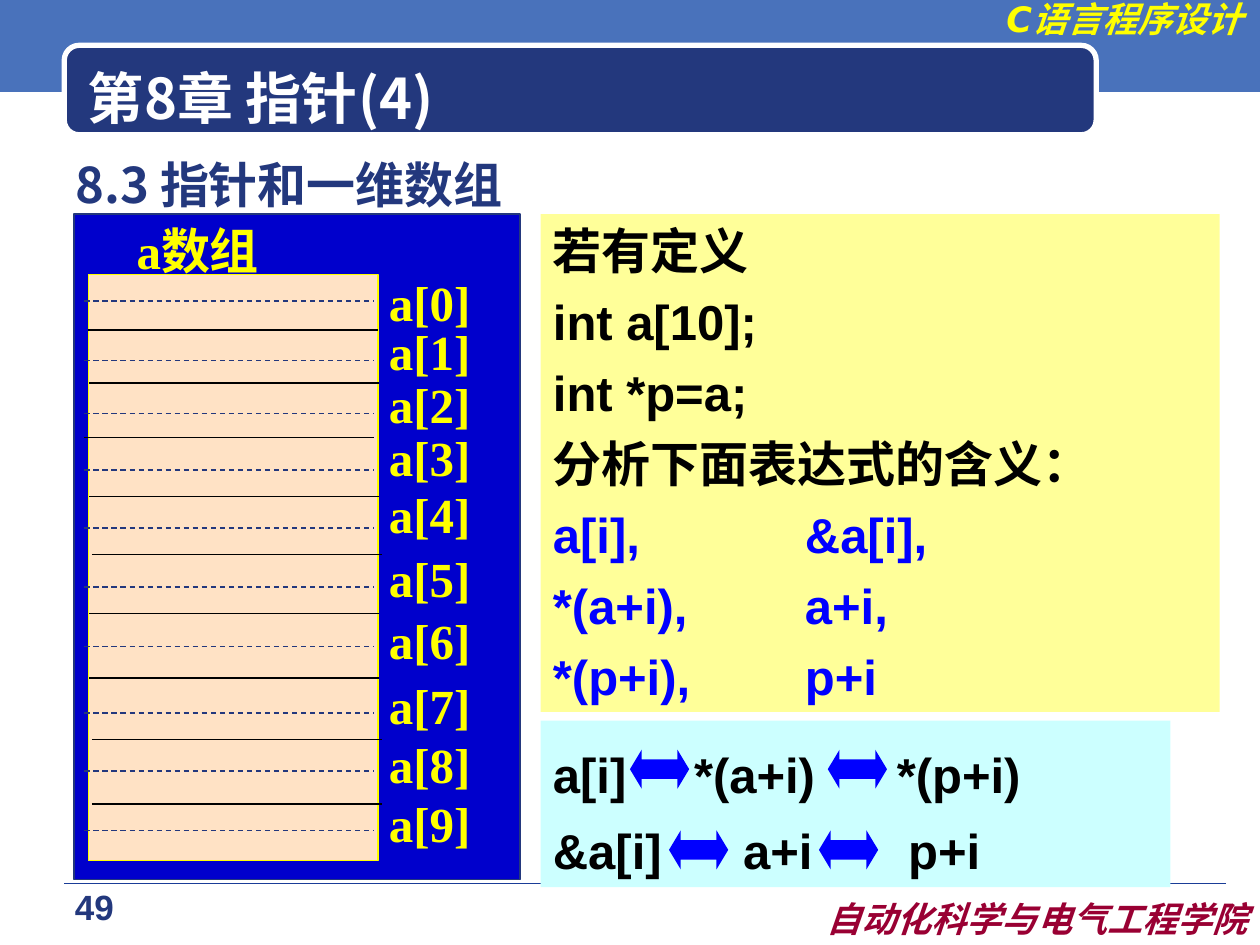
from dataclasses import dataclass
from lxml.etree import SubElement
from pptx import Presentation
from pptx.dml.color import RGBColor
from pptx.enum.dml import MSO_LINE
from pptx.enum.shapes import MSO_CONNECTOR, MSO_SHAPE
from pptx.enum.text import MSO_ANCHOR, PP_ALIGN
from pptx.oxml.ns import qn
from pptx.util import Inches, Pt

deck = Presentation()
deck.slide_width, deck.slide_height = Inches(10), Inches(7.5)
page = deck.slides.add_slide(deck.slide_layouts[6])

# Grid cells are a tenth of an inch square: 100 columns by 75 rows
COLUMN = deck.slide_width / 100
ROW = deck.slide_height / 75

COLORS = {
    "banner": "4972BB", "navy": "23387D", "rule": "1A3D97", "white": "FFFFFF",
    "yellow": "FFFF00", "maroon": "990033", "panel": "0000CC", "memory": "FFE2C5",
    "black": "000000", "blue": "0000FF", "cream": "FFFF99", "cyan": "CCFFFF",
}
CJK_FONT = "Noto Sans CJK SC"


@dataclass(frozen=True)
class Area:
    left: float
    top: float
    width: float
    height: float

    def emu(self) -> tuple:
        return (round(self.left * COLUMN), round(self.top * ROW),
                round(self.width * COLUMN), round(self.height * ROW))


@dataclass(frozen=True)
class Style:
    font: str
    size: float
    color: str
    italic: bool = False
    align: PP_ALIGN = PP_ALIGN.LEFT
    anchor: MSO_ANCHOR = MSO_ANCHOR.TOP


@dataclass(frozen=True)
class Line:
    text: str
    color: str = ""
    tabs: tuple = ()
    before: float = 0
    spacing: float = 1.0


def color(name: str) -> RGBColor:
    return RGBColor.from_string(COLORS[name])


def write(shape, lines: list, style: Style) -> None:
    frame = shape.text_frame
    frame.word_wrap = True
    frame.vertical_anchor = style.anchor
    for index, line in enumerate(lines):
        para = frame.paragraphs[0] if index == 0 else frame.add_paragraph()
        if line.tabs:
            stops = SubElement(para._p.get_or_add_pPr(), qn("a:tabLst"))
            for tab in line.tabs:
                SubElement(stops, qn("a:tab"), pos=str(round(tab * COLUMN)), algn="l")
        layout = {"alignment": style.align, "line_spacing": line.spacing,
                  "space_before": Pt(line.before)}
        for name, value in layout.items():
            setattr(para, name, value)
        span = para.add_run()
        span.text = line.text
        looks = {"name": style.font, "size": Pt(style.size), "bold": True,
                 "italic": style.italic}
        for name, value in looks.items():
            setattr(span.font, name, value)
        span.font.color.rgb = color(line.color or style.color)
        SubElement(span._r.get_or_add_rPr(), qn("a:ea"), typeface=CJK_FONT)


def add_text(area: Area, text: str, style: Style) -> None:
    write(page.shapes.add_textbox(*area.emu()), [Line(text)], style)


def add_block(shapes, area: Area, fill: str, outline: str = "", width: float = 1,
              kind: MSO_SHAPE = MSO_SHAPE.RECTANGLE):
    block = shapes.add_shape(kind, *area.emu())
    block.shadow.inherit = False
    block.fill.solid()
    block.fill.fore_color.rgb = color(fill)
    if outline:
        block.line.color.rgb = color(outline)
        block.line.width = Pt(width)
    else:
        block.line.fill.background()
    return block


def add_rule(shapes, left: float, top: float, length: float, ink: str,
             width: float = 0.75, dashed: bool = False) -> None:
    x, y, run, _ = Area(left, top, length, 0).emu()
    rule = shapes.add_connector(MSO_CONNECTOR.STRAIGHT, x, y, x + run, y)
    rule.line.color.rgb = color(ink)
    rule.line.width = Pt(width)
    if dashed:
        rule.line.dash_style = MSO_LINE.DASH
    SubElement(rule._element.spPr, qn("a:effectLst"))


def draw_frame() -> None:
    add_block(page.shapes, Area(0, -0.3, 100, 7.6), "banner")
    add_rule(page.shapes, 5.1, 70.1, 92.2, "rule", width=0.25)
    add_block(page.shapes, Area(5.1, 3.6, 81.9, 7.1), "navy", "white", 3,
              MSO_SHAPE.ROUNDED_RECTANGLE)
    add_text(Area(74.4, -0.7, 25.2, 4.4), "C语言程序设计",
             Style("DejaVu Sans", 20, "yellow", True, PP_ALIGN.RIGHT))
    add_text(Area(59.6, 70.7, 40.4, 4.4), "自动化科学与电气工程学院",
             Style("DejaVu Sans", 20, "maroon", True, PP_ALIGN.RIGHT))
    add_text(Area(2, 69.8, 11, 4.3), "49",
             Style("Arial", 20, "navy", align=PP_ALIGN.CENTER))
    add_text(Area(6, 4.6, 84.3, 6.2), "第8章 指针(4)",
             Style(CJK_FONT, 32, "white", anchor=MSO_ANCHOR.MIDDLE))
    add_text(Area(5, 11.8, 90, 5.2), "8.3 指针和一维数组", Style(CJK_FONT, 28, "navy"))


def draw_array() -> None:
    label = Style("Times New Roman", 28, "yellow", align=PP_ALIGN.CENTER,
                  anchor=MSO_ANCHOR.MIDDLE)
    label_tops = [21.1, 25, 29.2, 33.4, 37.9, 43, 47.9, 53.1, 57.8, 62.5]
    borders = [(7, 26.2), (7.1, 30.4), (6.7, 34.7), (7.1, 39.4), (7.3, 44),
               (7.1, 48.7), (7.1, 53.8), (7.3, 58.7), (7.3, 63.8)]
    middles = [23.9, 28.6, 32.8, 37.3, 41.9, 46.6, 51.3, 56.6, 61.2, 65.9]
    add_block(page.shapes, Area(5.9, 17, 35.4, 52.8), "panel", "navy")
    for index, top in enumerate(label_tops):
        add_text(Area(29.1, top, 10, 5.7), f"a[{index}]", label)
    add_text(Area(8.2, 17, 15, 5.7), "a数组", label)
    memory = page.shapes.add_group_shape().shapes
    add_block(memory, Area(7, 21.8, 23, 46.5), "memory", "yellow", 0.75)
    for left, top in borders:
        add_rule(memory, left, top, 23, "black")
    for top in middles:
        add_rule(memory, 6.7, top, 23, "navy", dashed=True)


def draw_expressions() -> None:
    code = Style("Arial", 28, "black")
    gap = 7
    lines = [Line("若有定义")]
    lines += [Line(text, before=gap)
              for text in ("int a[10];", "int *p=a;", "分析下面表达式的含义：")]
    lines += [Line(f"{value}\t{address}", "blue", (20,), gap)
              for value, address in (("a[i],", "&a[i],"), ("*(a+i),", "a+i,"),
                                     ("*(p+i),", "p+i"))]
    write(add_block(page.shapes, Area(42.9, 17, 53.9, 39.5), "cream"), lines, code)

    group = page.shapes.add_group_shape().shapes
    equals = [Line("a[i]\t*(a+i)\t*(p+i)", tabs=(11.2, 27.3), spacing=1.3),
              Line("&a[i]\ta+i\tp+i", tabs=(15.1, 28.2), spacing=1.3)]
    write(add_block(group, Area(42.9, 57.2, 50, 13.2), "cyan"), equals, code)
    for left, top in ((50, 59.5), (65.7, 59.5), (65, 65.9), (53.1, 65.9)):
        arrow = add_block(group, Area(left, top, 4.7, 3.1), "blue",
                          kind=MSO_SHAPE.LEFT_RIGHT_ARROW)
        arrow.adjustments[1] = 0.3


def main() -> None:
    draw_frame()
    draw_array()
    draw_expressions()
    deck.save("out.pptx")


if __name__ == "__main__":
    main()
